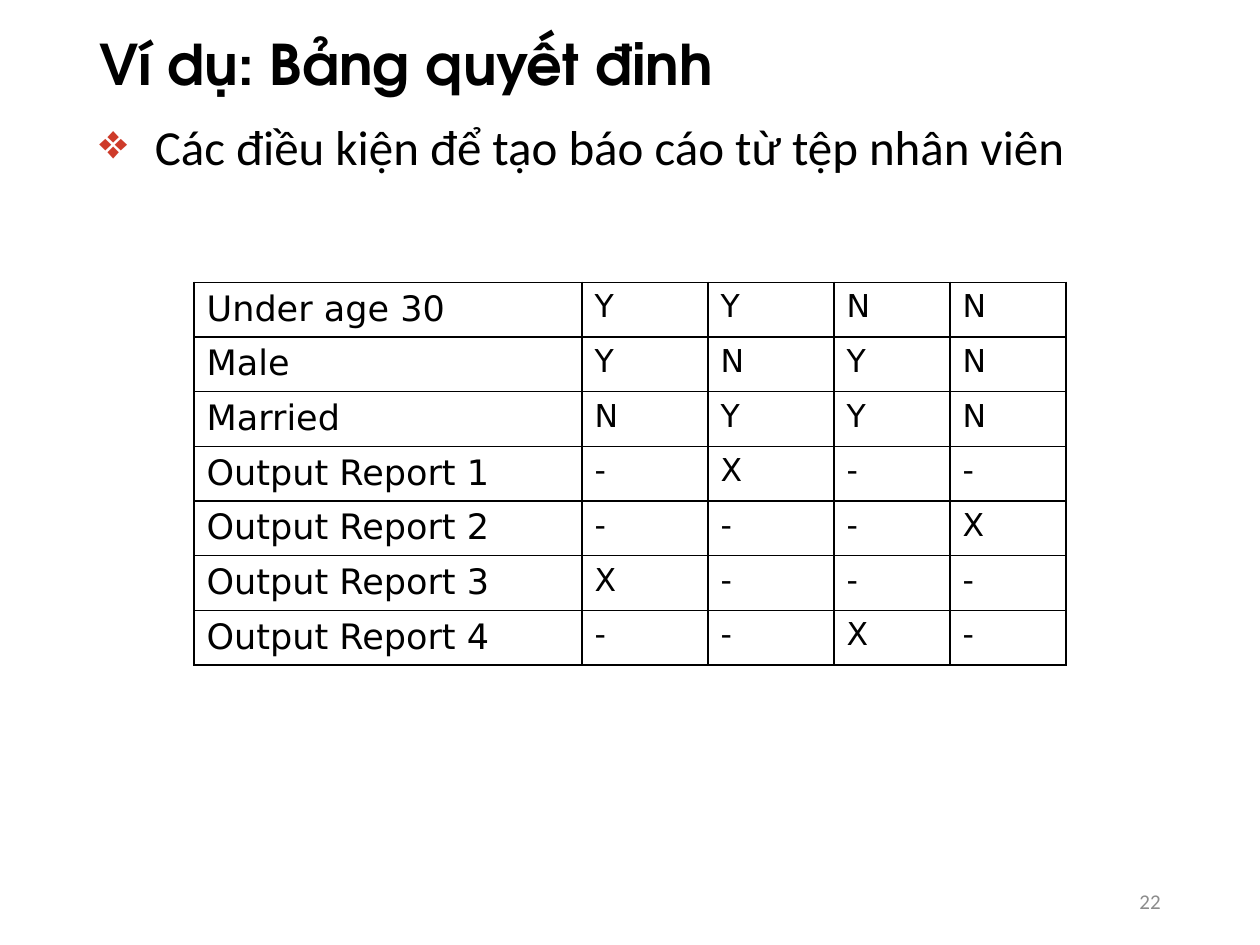
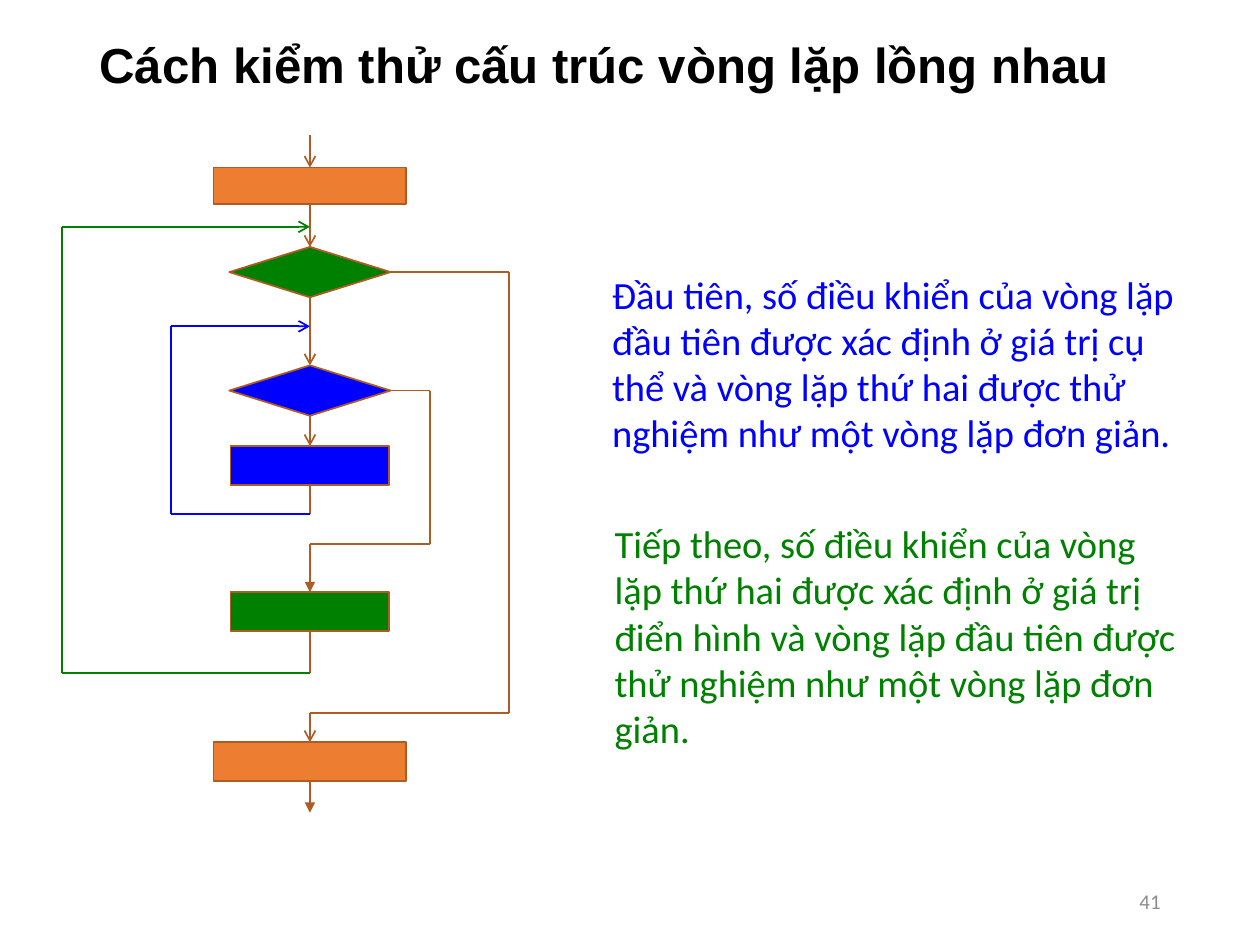
from lxml import etree
from pptx import Presentation
from pptx import util as u
from pptx.dml.color import RGBColor
from pptx.enum import shapes, text
from pptx.oxml import ns

BLACK = RGBColor(0x00, 0x00, 0x00)
WHITE = RGBColor(0xFF, 0xFF, 0xFF)
GRAY = RGBColor(0x8C, 0x8C, 0x8C)
RED = RGBColor(0xCE, 0x3B, 0x2A)
GREEN = RGBColor(0x00, 0x80, 0x00)
BLUE = RGBColor(0x00, 0x00, 0xFF)
ORANGE = RGBColor(0xED, 0x7D, 0x31)
BROWN = RGBColor(0xAF, 0x5C, 0x24)

WIDTH, HEIGHT = u.Inches(10), u.Inches(7.5)
UNIT = WIDTH / 100
LEFT, SPAN = 6.9, 86.2
MID = 24.6
SITES = ((0.5, 0), (0, 0.5), (0.5, 1), (1, 0.5))
RECT = shapes.MSO_SHAPE.RECTANGLE
DIAMOND = shapes.MSO_SHAPE.DIAMOND

RULES = (
    ("Under age 30", "YYNN"),
    ("Male", "YNYN"),
    ("Married", "NYYN"),
    ("Output Report 1", "-X--"),
    ("Output Report 2", "---X"),
    ("Output Report 3", "X---"),
    ("Output Report 4", "--X-"),
)


def grid(*cells):
    return [round(cell * UNIT) for cell in cells]


def add(parent, tag, **attrs):
    return etree.SubElement(parent, ns.qn(tag), attrs)


def write(frame, words, size=18, font="Calibri", color=BLACK, bold=False,
          align=None, anchor=None, spacing=None, bullet=None):
    frame.word_wrap = True
    if anchor is not None:
        frame.vertical_anchor = anchor
    para = frame.paragraphs[0]
    if bullet:
        props = para._p.get_or_add_pPr()
        indent = round(4.4 * UNIT)
        props.set("marL", str(indent))
        props.set("indent", str(-indent))
        add(add(props, "a:buClr"), "a:srgbClr", val=str(RED))
        add(props, "a:buChar", char=bullet)
    if spacing:
        para.line_spacing = spacing
    if align is not None:
        para.alignment = align
    run = para.add_run()
    run.text = words
    run.font.size = u.Pt(size)
    run.font.name = font
    run.font.bold = bold
    run.font.color.rgb = color


def label(slide, box, words, **style):
    write(slide.shapes.add_textbox(*grid(*box)).text_frame, words, **style)


def page(deck, title, number, **style):
    slide = deck.slides.add_slide(deck.slide_layouts[6])
    middle = text.MSO_ANCHOR.MIDDLE
    label(slide, (LEFT, 1.3, SPAN, 8.1), title, bold=True, spacing=0.9,
          anchor=middle, **style)
    label(slide, (70.6, 69.5, 22.5, 4), str(number), size=12, color=GRAY,
          align=text.PP_ALIGN.RIGHT, anchor=middle)
    return slide


def border(cell):
    props = cell._tc.get_or_add_tcPr()
    for side in "LRTB":
        line = add(props, f"a:ln{side}", w=str(u.Pt(1)))
        add(add(line, "a:solidFill"), "a:srgbClr", val=str(BLACK))


def matrix(slide, box, widths, rules):
    table = slide.shapes.add_table(len(rules), len(widths), *grid(*box)).table
    table.first_row = table.horz_banding = False
    for column, width in zip(table.columns, grid(*widths)):
        column.width = width
    for row, (name, marks) in zip(table.rows, rules):
        row.height = round(box[3] * UNIT / len(rules))
        for index, (cell, words) in enumerate(zip(row.cells, (name, *marks))):
            border(cell)
            cell.fill.solid()
            cell.fill.fore_color.rgb = WHITE
            write(cell.text_frame, words, size=18 if index else 20,
                  font="DejaVu Sans")


def node(slide, kind, top, width, height, color):
    shape = slide.shapes.add_shape(
        kind, *grid(MID - width / 2, top, width, height))
    shape.shadow.inherit = False
    shape.fill.solid()
    shape.fill.fore_color.rgb = color
    shape.line.color.rgb = BROWN
    shape.line.width = u.Pt(1)
    return shape


def glued(end):
    return not isinstance(end[0], (int, float))


def spot(end):
    if not glued(end):
        return grid(*end)
    shape, site = end
    across, down = SITES[site]
    return (round(shape.left + across * shape.width),
            round(shape.top + down * shape.height))


def route(slide, *ends, color=BROWN, tip=None):
    for start, stop in zip(ends, ends[1:]):
        wire = slide.shapes.add_connector(
            shapes.MSO_CONNECTOR.STRAIGHT, *spot(start), *spot(stop))
        wire.line.color.rgb = color
        wire.line.width = u.Pt(1)
        if glued(start):
            wire.begin_connect(*start)
        if glued(stop):
            wire.end_connect(*stop)
        props = wire._element.spPr
        if tip and stop is ends[-1]:
            add(props.find(ns.qn("a:ln")), "a:tailEnd", type=tip)
        add(props, "a:effectLst")


def rules_page(deck):
    slide = page(deck, "Ví dụ: Bảng quyết đinh", 22, size=32,
                 font="TeX Gyre Adventor")
    label(slide, (LEFT, 9.3, SPAN, 56.6),
          "Các điều kiện để tạo báo cáo từ tệp nhân viên",
          size=28, spacing=0.9, bullet="❖")
    matrix(slide, (15.4, 22.4, 69.1, 30.3), (30.8, 10, 10, 9.2, 9.2), RULES)


def loops_page(deck):
    slide = page(deck, "Cách kiểm thử cấu trúc vòng lặp lồng nhau", 41,
                 size=28.1, font="Arial")
    first = node(slide, RECT, 13.3, 15.3, 2.9, ORANGE)
    outer = node(slide, DIAMOND, 19.6, 12.8, 4, GREEN)
    inner = node(slide, DIAMOND, 29, 12.8, 4, BLUE)
    body = node(slide, RECT, 35.4, 12.6, 3.1, BLUE)
    step = node(slide, RECT, 47, 12.6, 3.1, GREEN)
    last = node(slide, RECT, 58.9, 15.3, 3.1, ORANGE)

    route(slide, (MID, 10.7), (first, 0), tip="arrow")
    for above, below in ((first, outer), (outer, inner), (inner, body)):
        route(slide, (above, 2), (below, 0), tip="arrow")
    route(slide, (last, 2), (MID, 64.5), tip="triangle")

    for test, level, right, turn, target, tip in (
            (inner, 31, 34.1, 43.2, step, "triangle"),
            (outer, 21.6, 40.4, 56.6, last, "arrow")):
        route(slide, (test, 3), (right, level), (right, turn), (MID, turn),
              (target, 0), tip=tip)

    for source, low, left, high, color in ((body, 40.8, 13.6, 25.9, BLUE),
                                           (step, 53.4, 4.9, 18, GREEN)):
        route(slide, (source, 2), (MID, low))
        route(slide, (MID, low), (left, low), (left, high), (MID, high),
              color=color, tip="arrow")

    label(slide, (47.6, 21, 46.6, 15.8),
          "Đầu tiên, số điều khiển của vòng lặp đầu tiên được xác định ở "
          "giá trị cụ thể và vòng lặp thứ hai được thử nghiệm như một vòng "
          "lặp đơn giản.", size=22, color=BLUE)
    label(slide, (47.8, 40.8, 46.6, 19.5),
          "Tiếp theo, số điều khiển của vòng lặp thứ hai được xác định ở "
          "giá trị điển hình và vòng lặp đầu tiên được thử nghiệm như một "
          "vòng lặp đơn giản.", size=22, color=GREEN)


def main():
    deck = Presentation()
    deck.slide_width, deck.slide_height = WIDTH, HEIGHT
    rules_page(deck)
    loops_page(deck)
    deck.save("out.pptx")


if __name__ == "__main__":
    main()
